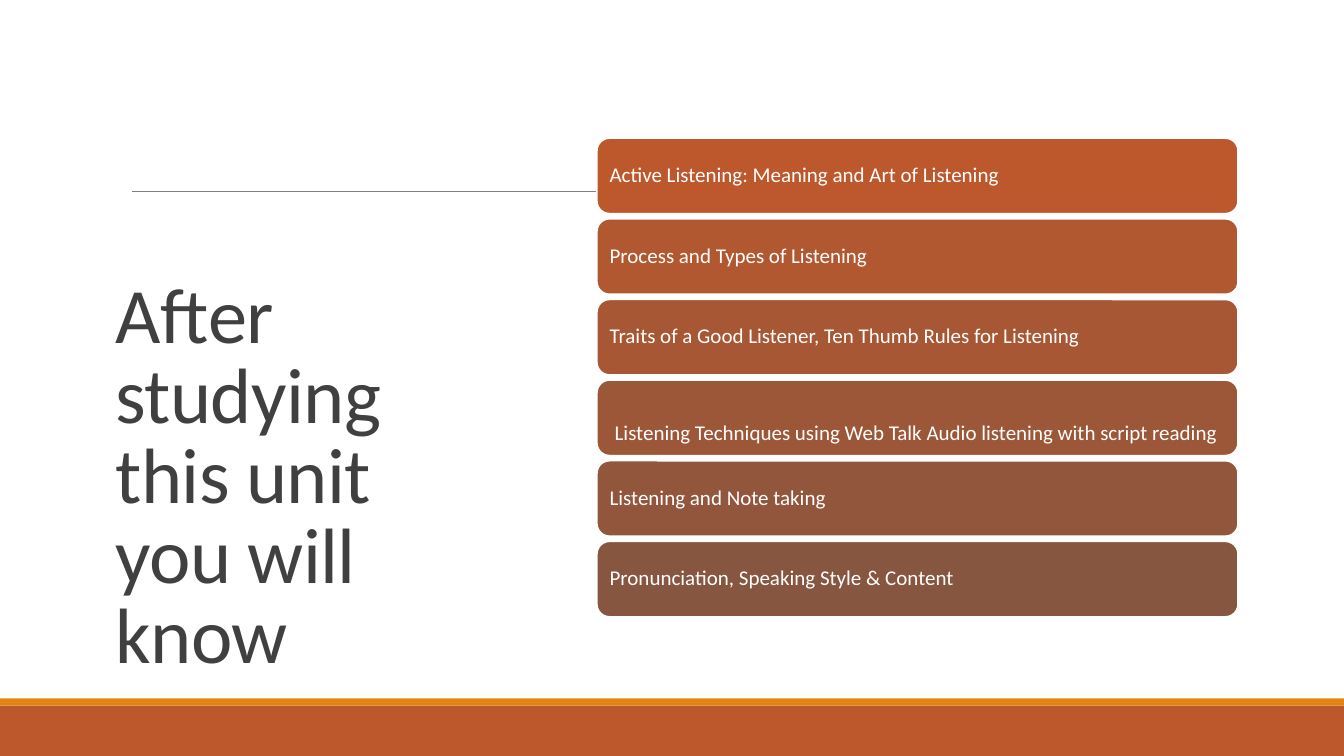
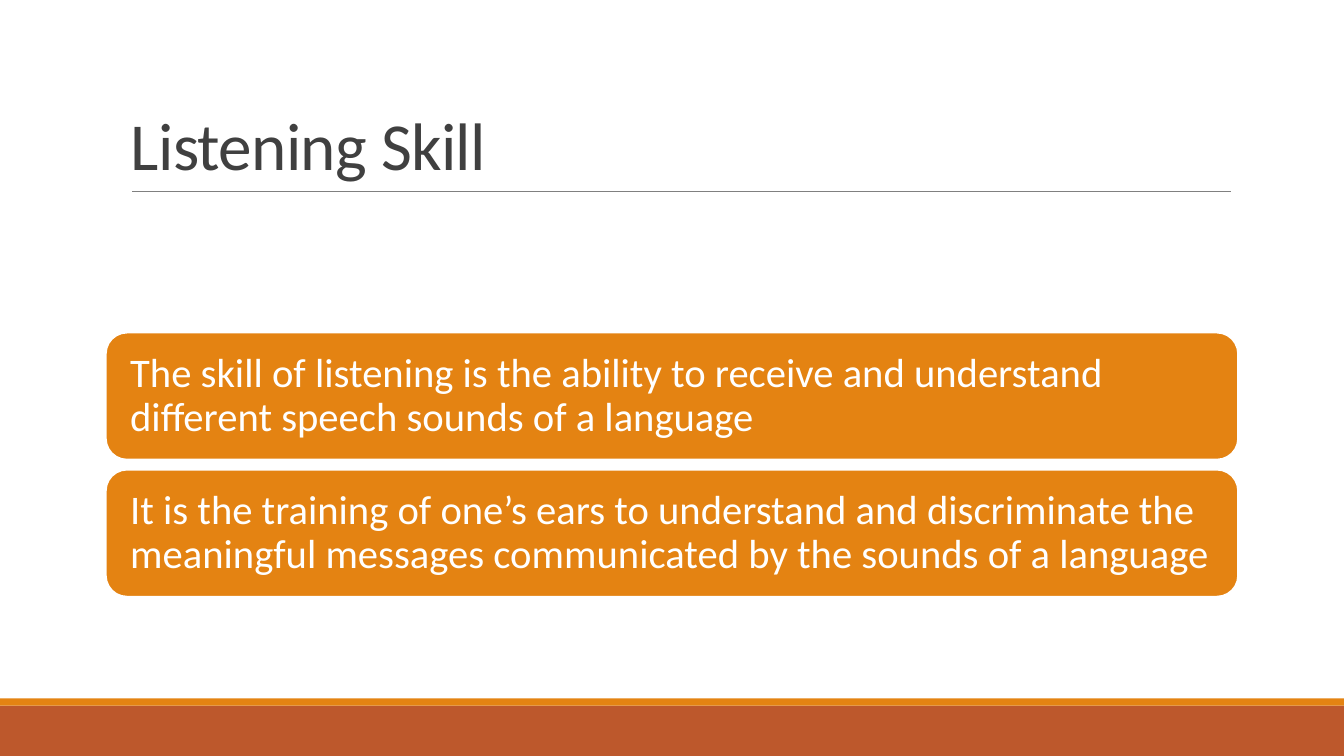
from dataclasses import dataclass

from lxml.etree import SubElement
from pptx import Presentation
from pptx.dml.color import RGBColor
from pptx.enum.shapes import MSO_CONNECTOR, MSO_SHAPE
from pptx.enum.text import MSO_ANCHOR, PP_ALIGN
from pptx.oxml.ns import qn
from pptx.util import Inches, Pt


@dataclass(frozen=True)
class Theme:
    """Colours, font and type sizes of the deck."""
    font: str = "Calibri"
    rust: str = "BD582C"
    orange: str = "E48312"
    brown: str = "865640"
    rule: str = "808080"
    title: str = "404040"
    white: str = "FFFFFF"
    side_title_size: int = 56
    title_size: int = 48
    statement_size: int = 29
    topic_size: int = 15


THEME = Theme()


def blend(start, end, share):
    """Return the colour lying the given share of the way from start to end."""
    a, b = RGBColor.from_string(start), RGBColor.from_string(end)
    return str(RGBColor(*(round(x + (y - x) * share) for x, y in zip(a, b))))


def add_box(s, kind, box, fill, line=None):
    """Add a filled shape, outlined only when a line colour is given."""
    sp = s.shapes.add_shape(kind, *map(Inches, box))
    sp.shadow.inherit = False
    sp.fill.solid()
    sp.fill.fore_color.rgb = RGBColor.from_string(fill)
    if line:
        sp.line.color.rgb = RGBColor.from_string(line)
        sp.line.width = Pt(1.25)
    else:
        sp.line.fill.background()
    return sp


def write(sp, text, size, color, anchor, spacing):
    """Write one left-aligned, wrapped paragraph into a shape."""
    tf = sp.text_frame
    tf.word_wrap = True
    tf.vertical_anchor = anchor
    p = tf.paragraphs[0]
    p.text = text
    p.alignment = PP_ALIGN.LEFT
    p.line_spacing = spacing
    p.font.name = THEME.font
    p.font.size = Pt(size)
    p.font.color.rgb = RGBColor.from_string(color)
    return tf


def add_title(s, box, text, size):
    """Add a tightly spaced title standing on the bottom of its box."""
    sp = s.shapes.add_textbox(*map(Inches, box))
    tf = write(sp, text, size, THEME.title, MSO_ANCHOR.BOTTOM, 0.85)
    for r in tf.paragraphs[0].runs:
        r.font._element.set("spc", "-50")


def add_frame(s):
    """Add the footer bands and the title rule."""
    add_box(s, MSO_SHAPE.RECTANGLE, (0, 7, 13.33, 0.5), THEME.rust)
    add_box(s, MSO_SHAPE.RECTANGLE, (0, 6.93, 13.33, 0.07), THEME.orange)
    rule = s.shapes.add_connector(MSO_CONNECTOR.STRAIGHT, Inches(1.31),
                                  Inches(1.9), Inches(12.21), Inches(1.9))
    rule.line.color.rgb = RGBColor.from_string(THEME.rule)
    rule.line.width = Pt(0.5)
    SubElement(rule._element.spPr, qn("a:effectLst"))


def add_stack(s, box, gap, texts, size, inset, colors):
    """Fill a box with equal rounded bars and return their text frames."""
    left, top, width, height = box
    bar = (height - gap * (len(texts) - 1)) / len(texts)
    frames = []
    for i, (text, color) in enumerate(zip(texts, colors)):
        place = (left, top + i * (bar + gap), width, bar)
        sp = add_box(s, MSO_SHAPE.ROUNDED_RECTANGLE, place, color, THEME.white)
        tf = write(sp, text, size, THEME.white, MSO_ANCHOR.MIDDLE, 0.9)
        tf.margin_left = tf.margin_right = Inches(inset)
        tf.margin_top = tf.margin_bottom = Inches(inset)
        frames.append(tf)
    return frames


def add_slide(prs):
    """Add a blank slide with the shared frame."""
    s = prs.slides.add_slide(prs.slide_layouts[6])
    add_frame(s)
    return s


def topics_slide(prs):
    """Build the list of unit topics beside a tall title."""
    s = add_slide(prs)
    add_title(s, (1.05, 0.7, 3.51, 6.09),
              "After studying this unit you will know", THEME.side_title_size)
    topics = [
        "Active Listening: Meaning and Art of Listening",
        "Process and Types of Listening",
        "Traits of a Good Listener, Ten Thumb Rules for Listening",
        "Listening Techniques using Web Talk Audio listening with script reading",
        "Listening and Note taking",
        "Pronunciation, Speaking Style & Content",
    ]
    last = len(topics) - 1
    colors = [blend(THEME.rust, THEME.brown, i / last) for i in range(len(topics))]
    frames = add_stack(s, (5.92, 1.37, 6.36, 4.75), 0.05, topics,
                       THEME.topic_size, 0.09, colors)
    lowered = frames[3]
    lowered.margin_left = Inches(0.14)
    lowered.margin_top = Inches(0.41)


def skill_slide(prs):
    """Build the two statements on the listening skill."""
    s = add_slide(prs)
    add_title(s, (1.2, 0.29, 11, 1.59), "Listening Skill", THEME.title_size)
    statements = [
        "The skill of listening is the ability to receive and understand "
        "different speech sounds of a language",
        "It is the training of one’s ears to understand and discriminate the "
        "meaningful messages communicated by the sounds of a language",
    ]
    add_stack(s, (1.05, 3.3, 11.23, 2.62), 0.1, statements,
              THEME.statement_size, 0.18, [THEME.orange] * len(statements))


def main():
    """Build and save the deck."""
    prs = Presentation()
    prs.slide_width, prs.slide_height = Inches(13.33), Inches(7.5)
    topics_slide(prs)
    skill_slide(prs)
    prs.save("out.pptx")


if __name__ == "__main__":
    main()
